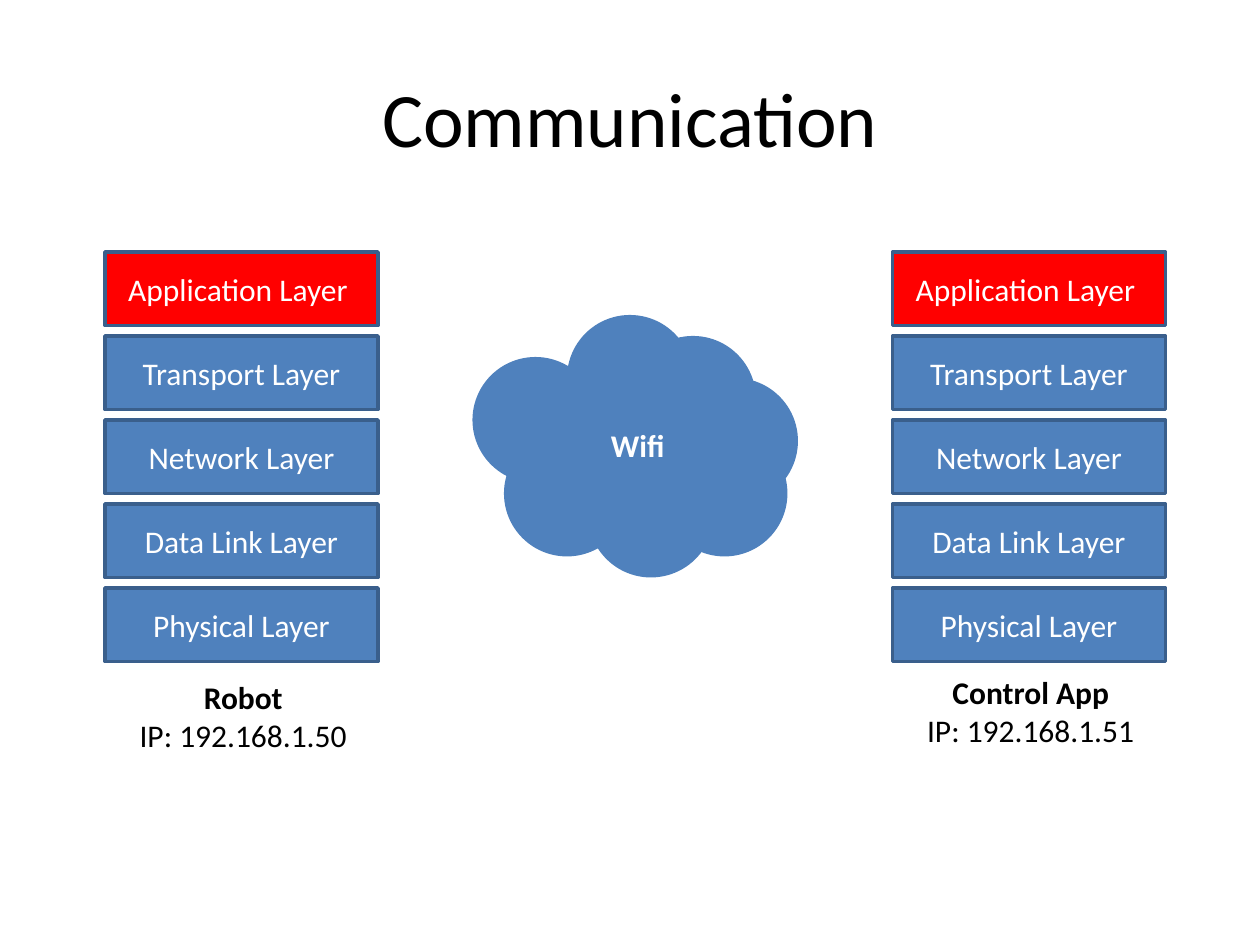
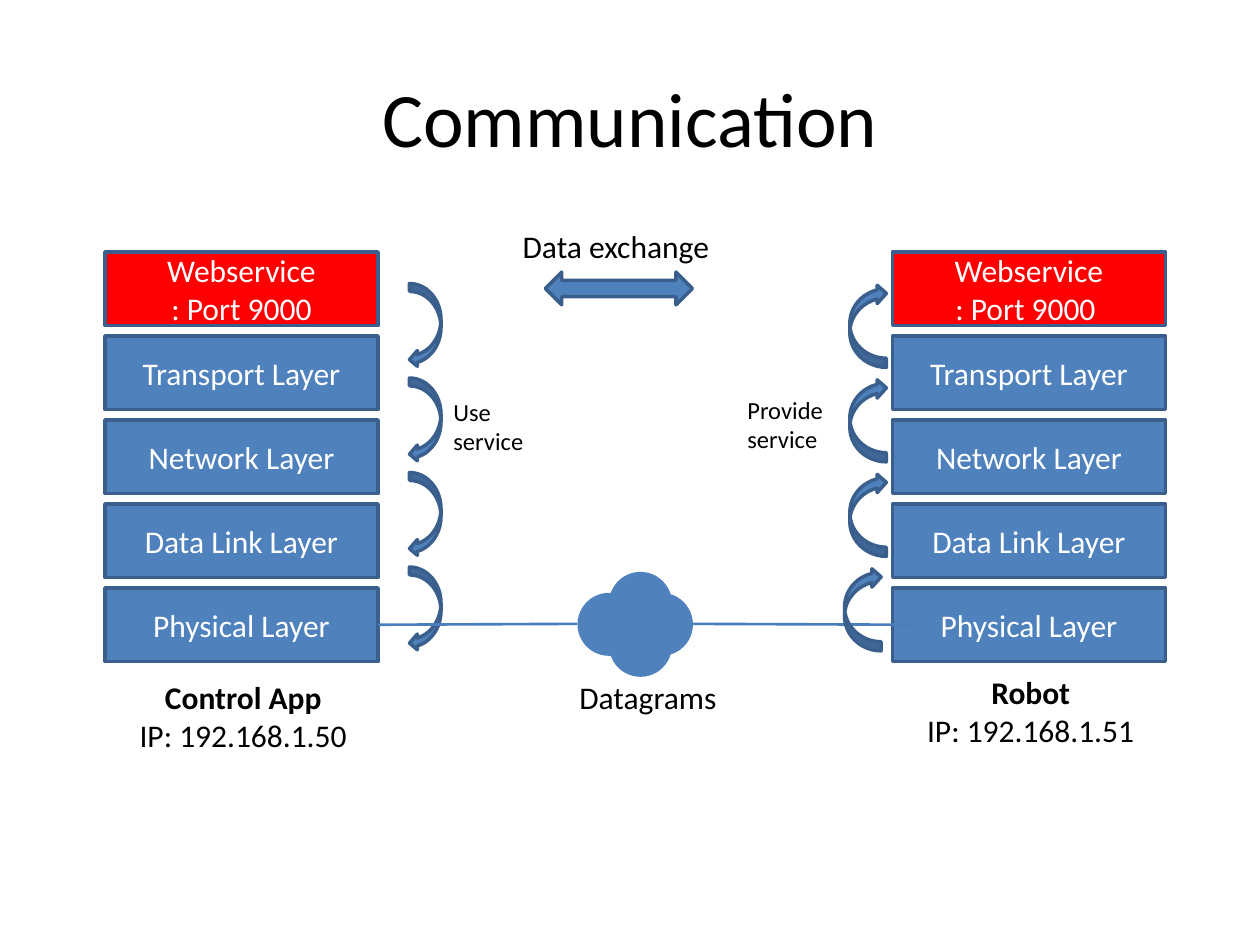
from pptx import Presentation
from pptx.dml.color import RGBColor
from pptx.enum.shapes import MSO_CONNECTOR, MSO_SHAPE
from pptx.enum.text import MSO_ANCHOR, MSO_AUTO_SIZE, PP_ALIGN
from pptx.oxml.ns import qn
from pptx.util import Pt
from lxml import etree

RECTANGLE, ELLIPSE = MSO_SHAPE.RECTANGLE, MSO_SHAPE.OVAL
LEFT_CURVE, DOWN_CURVE = MSO_SHAPE.CURVED_LEFT_ARROW, MSO_SHAPE.CURVED_DOWN_ARROW
DOUBLE_ARROW = MSO_SHAPE.LEFT_RIGHT_ARROW
STRAIGHT = MSO_CONNECTOR.STRAIGHT
LEFT, CENTER = PP_ALIGN.LEFT, PP_ALIGN.CENTER
MIDDLE, TOP = MSO_ANCHOR.MIDDLE, MSO_ANCHOR.TOP
FIT_SHAPE = MSO_AUTO_SIZE.SHAPE_TO_FIT_TEXT

BLUE = RGBColor(0x4F, 0x81, 0xBD)
DARK_BLUE = RGBColor(0x3A, 0x5F, 0x8C)
LINK_BLUE = RGBColor(0x4B, 0x7E, 0xBC)
RED = RGBColor(0xFF, 0x00, 0x00)
WHITE = RGBColor(0xFF, 0xFF, 0xFF)
BLACK = RGBColor(0x00, 0x00, 0x00)

FONT = "Calibri"
STACK_WIDTH, LAYER_HEIGHT, LAYER_STEP = 156, 42, 48
LEFT_STACK, RIGHT_STACK = (60, 144), (510, 144)
LOWER_LAYERS = ["Transport Layer", "Network Layer", "Data Link Layer", "Physical Layer"]
ARROW_COUNT, ARROW_STEP = 4, 54
WIFI_PUFFS = [(54, 0), (90, 12), (114, 36), (108, 66),
              (66, 78), (18, 66), (0, 24), (54, 36)]
SMALL_PUFFS = [(18, 0), (30, 12), (18, 24), (0, 12)]


def apply_format(target, values):
    for name, value in values.items():
        setattr(target, name, value)


def write_text(frame, lines, size=18, color=BLACK, align=CENTER, bold_lines=0):
    for index, line in enumerate(lines):
        para = frame.paragraphs[0] if index == 0 else frame.add_paragraph()
        para.alignment = align
        span = para.add_run()
        span.text = line
        apply_format(span.font, {"name": FONT, "size": Pt(size), "bold": index < bold_lines})
        span.font.color.rgb = color


def add_solid(page, kind, box, fill=BLUE, outlined=True):
    solid = page.shapes.add_shape(kind, *map(Pt, box))
    solid.shadow.inherit = False
    solid.fill.solid()
    solid.fill.fore_color.rgb = fill
    if outlined:
        solid.line.color.rgb = DARK_BLUE
        solid.line.width = Pt(2)
    else:
        solid.line.fill.background()
    return solid


def add_label(page, box, lines, **style):
    label = page.shapes.add_textbox(*map(Pt, box))
    apply_format(label.text_frame, {"word_wrap": False, "auto_size": FIT_SHAPE,
                                    "vertical_anchor": TOP})
    write_text(label.text_frame, lines, **style)


def add_titled_page(deck, title):
    page = deck.slides.add_slide(deck.slide_layouts[5])
    holder = page.shapes.title
    apply_format(holder, {"left": Pt(36), "top": Pt(21.6), "width": Pt(648), "height": Pt(90)})
    holder.text_frame.vertical_anchor = MIDDLE
    write_text(holder.text_frame, [title], size=44)
    return page


def add_stack(page, origin, top_lines, caption, caption_drop):
    left, top = origin
    layers = [top_lines] + [[name] for name in LOWER_LAYERS]
    for index, lines in enumerate(layers):
        box = (left, top + index * LAYER_STEP, STACK_WIDTH, LAYER_HEIGHT)
        layer = add_solid(page, RECTANGLE, box, BLUE if index else RED)
        layer.text_frame.vertical_anchor = MIDDLE
        write_text(layer.text_frame, lines, color=WHITE)
    add_label(page, (left + 12, top + caption_drop, 134, 51), caption, bold_lines=1)


def add_cloud(page, origin, puffs, diameter):
    left, top = origin
    for across, down in puffs:
        add_solid(page, ELLIPSE, (left + across, top + down, diameter, diameter),
                  outlined=False)


def add_arrow_column(page, kind, box, rotation=0, last_shift=0):
    left, top, width, height = box
    for index in range(ARROW_COUNT):
        shift = last_shift if index == ARROW_COUNT - 1 else 0
        arrow = add_solid(page, kind, (left + shift, top + index * ARROW_STEP, width, height))
        arrow.rotation = rotation


def add_link(page, start, end):
    link = page.shapes.add_connector(STRAIGHT, *map(Pt, start + end))
    link.line.color.rgb = LINK_BLUE
    link.line.width = Pt(1.5)
    etree.SubElement(link._element.spPr, qn("a:effectLst"))


def add_exchange(page, origin):
    left, top = origin
    add_solid(page, DOUBLE_ARROW, (left + 20, top + 29.5, 84, 18.7))
    add_label(page, (left, top, 122.4, 29), ["Data exchange"], align=LEFT)


def add_datagram_link(page, origin):
    left, top = origin
    add_cloud(page, (left + 114, top - 29.7), SMALL_PUFFS, 36)
    add_link(page, (left, top + 0.5), (left + 114, top))
    add_link(page, (left + 180, top), (left + 306, top + 0.5))
    add_label(page, (left + 108, top + 27.4, 93.6, 29), ["Datagrams"], align=LEFT)


def build_wifi_page(deck):
    page = add_titled_page(deck, "Communication")
    top_lines = ["Application Layer "]
    add_stack(page, LEFT_STACK, top_lines, ["Robot", "IP: 192.168.1.50"], 240)
    add_stack(page, RIGHT_STACK, top_lines, ["Control App", "IP: 192.168.1.51"], 237)
    add_cloud(page, (270, 180), WIFI_PUFFS, 72)
    add_label(page, (342, 240, 45.4, 29), ["Wifi"], color=WHITE, align=LEFT, bold_lines=1)


def build_service_page(deck):
    page = add_titled_page(deck, "Communication")
    add_stack(page, LEFT_STACK, ["Webservice", ": Port 9000"],
              ["Control App", "IP: 192.168.1.50"], 240)
    add_stack(page, RIGHT_STACK, ["Webservice", ": Port 9000 "],
              ["Robot", "IP: 192.168.1.51"], 237)
    add_arrow_column(page, LEFT_CURVE, (234, 162, 18, 48))
    add_label(page, (252, 223.2, 54.7, 41), ["Use", "service"], size=14, align=LEFT)
    add_datagram_link(page, (216, 356.5))
    add_exchange(page, (291.6, 126))
    add_arrow_column(page, DOWN_CURVE, (472.3, 175.7, 47.5, 20.9), 270, -3)
    add_label(page, (420, 222, 58.3, 41), ["Provide", "service"], size=14, align=LEFT)


deck = Presentation()
apply_format(deck, {"slide_width": Pt(720), "slide_height": Pt(540)})
build_wifi_page(deck)
build_service_page(deck)
deck.save("out.pptx")
